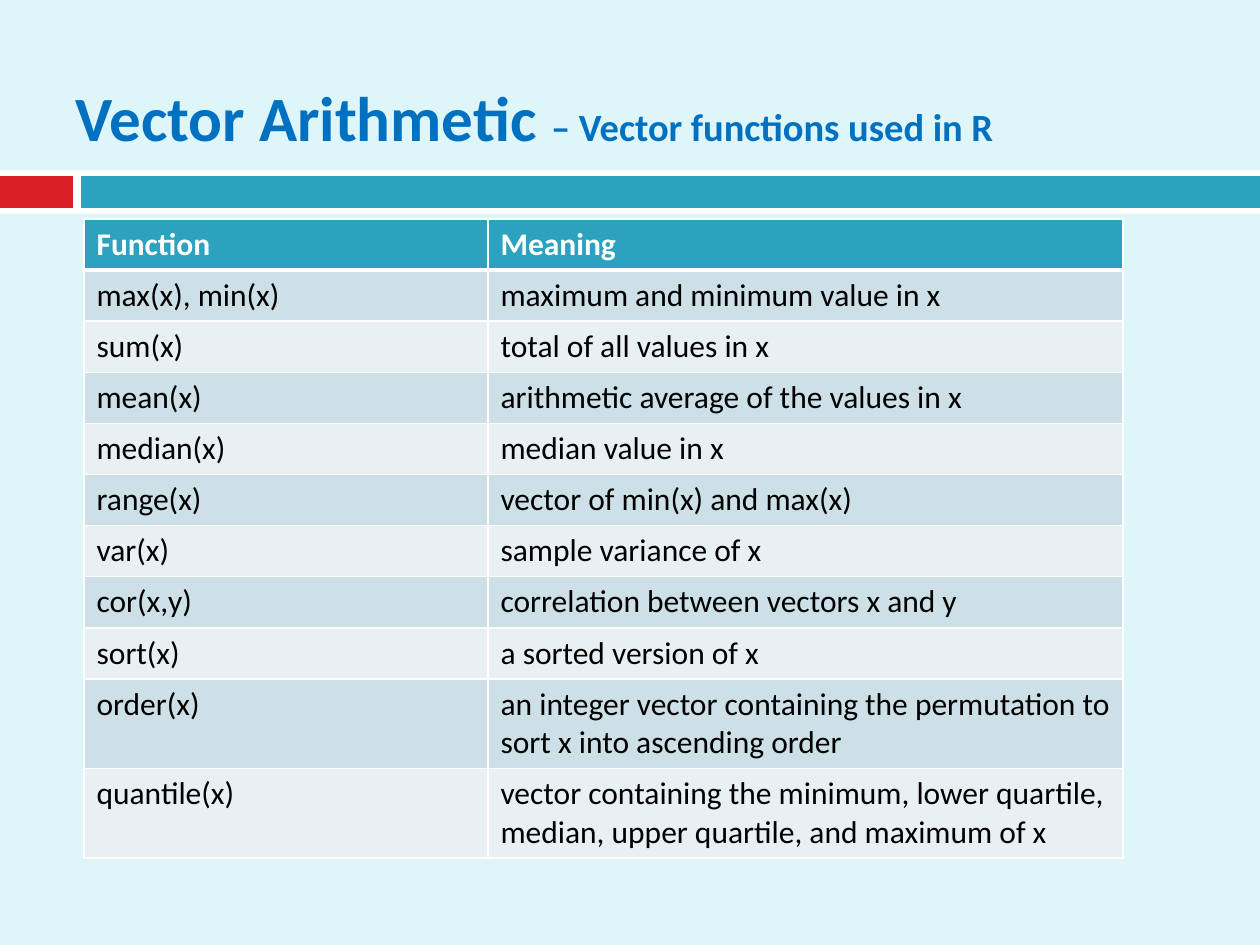
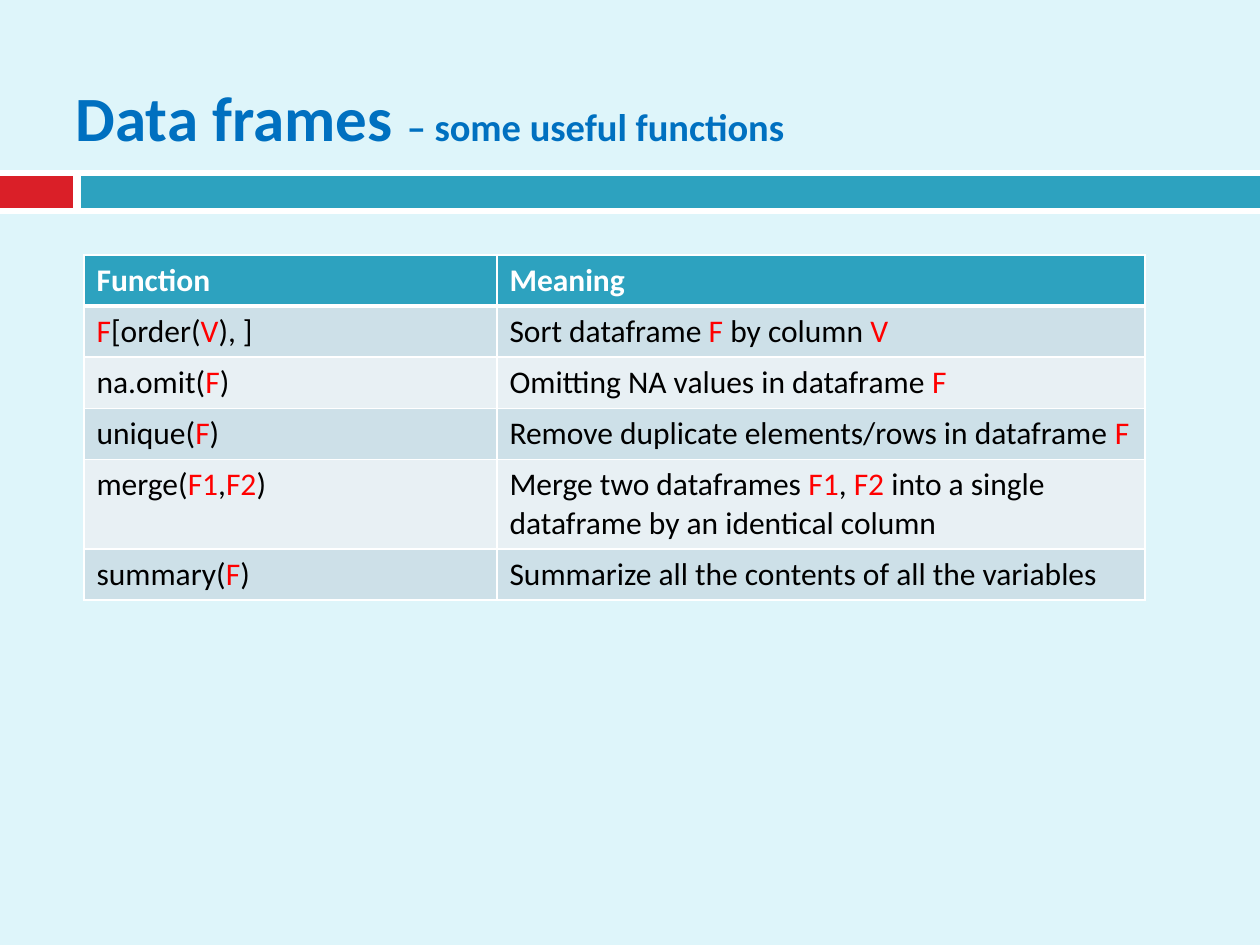
from lxml.etree import SubElement
from pptx import Presentation
from pptx.dml.color import RGBColor
from pptx.enum.shapes import MSO_SHAPE
from pptx.enum.text import MSO_ANCHOR, PP_ALIGN
from pptx.oxml.ns import qn
from pptx.util import Pt

SCALE = 914400 / 126
FONT = "Calibri"
SKY = RGBColor(0xDE, 0xF5, 0xFA)
WHITE = RGBColor(0xFF, 0xFF, 0xFF)
BLACK = RGBColor(0, 0, 0)
RED = RGBColor(0xFF, 0, 0)
CRIMSON = RGBColor(0xDA, 0x1F, 0x28)
TEAL = RGBColor(0x2D, 0xA2, 0xBF)
BLUE = RGBColor(0, 0x70, 0xC0)
STRIPES = RGBColor(0xE8, 0xF0, 0xF4), RGBColor(0xCD, 0xE0, 0xE8)

BANDS = [
    ((0, 170, 1260, 44), WHITE),
    ((0, 176, 73, 32), CRIMSON),
    ((81, 176, 1179, 32), TEAL),
]
TITLE = (63, 38, 1134, 157)
LEFT, ROW, LINE, LIMIT = 84, 51, 38, 55
HEAD = ("Function", "Meaning")

# Text between asterisks is set in red.
SLIDES = [
    {
        "title": ("Vector Arithmetic ", "– Vector functions used in R"),
        "top": 219,
        "cols": (404, 635),
        "rows": [
            ("max(x), min(x)", "maximum and minimum value in x"),
            ("sum(x)", "total of all values in x"),
            ("mean(x)", "arithmetic average of the values in x"),
            ("median(x)", "median value in x"),
            ("range(x)", "vector of min(x) and max(x)"),
            ("var(x)", "sample variance of x"),
            ("cor(x,y)", "correlation between vectors x and y"),
            ("sort(x)", "a sorted version of x"),
            ("order(x)", "an integer vector containing the permutation "
                         "to sort x into ascending order"),
            ("quantile(x)", "vector containing the minimum, lower quartile, "
                            "median, upper quartile, and maximum of x"),
        ],
    },
    {
        "title": ("Data frames ", "– some useful functions"),
        "top": 255,
        "cols": (413, 648),
        "rows": [
            ("*F*[order(*V*), ]", "Sort dataframe *F* by column *V*"),
            ("na.omit(*F*)", "Omitting NA values in dataframe *F*"),
            ("unique(*F*)", "Remove duplicate elements/rows in dataframe *F*"),
            ("merge(*F1*,*F2*)", "Merge two dataframes *F1*, *F2* into a single "
                                 "dataframe by an identical column"),
            ("summary(*F*)", "Summarize all the contents of all the variables"),
        ],
    },
]


def px(n):
    return round(n * SCALE)


def box(rect):
    return [px(n) for n in rect]


def add_run(para, text, size, color, bold):
    run = para.add_run()
    run.text = text
    font = run.font
    font.name, font.size, font.bold = FONT, Pt(size), bold
    font.color.rgb = color


def add_bands(slide, master):
    for n, (rect, color) in enumerate(BANDS):
        band = slide.shapes.add_shape(MSO_SHAPE.RECTANGLE, *box(rect))
        band.shadow.inherit = False
        band.fill.solid()
        band.fill.fore_color.rgb = color
        band.line.fill.background()
        band.element.nvSpPr.cNvPr.id = 20 + n
        master.shapes.element.append(band.element)


def add_title(slide, parts):
    title = slide.shapes.title
    title.left, title.top, title.width, title.height = box(TITLE)
    frame = title.text_frame
    frame.vertical_anchor = MSO_ANCHOR.MIDDLE
    para = frame.paragraphs[0]
    para.alignment = PP_ALIGN.LEFT
    for text, size in zip(parts, (36, 22)):
        add_run(para, text, size, BLUE, True)


def add_rules(cell, row):
    props = cell._tc.get_or_add_tcPr()
    thick = {(0, "lnB"), (1, "lnT")}
    for side in ("lnL", "lnR", "lnT", "lnB"):
        width = Pt(3 if (row, side) in thick else 1)
        rule = SubElement(props, qn("a:" + side), w=str(width))
        fill = SubElement(rule, qn("a:solidFill"))
        SubElement(fill, qn("a:srgbClr"), val=str(WHITE))


def fill_cell(cell, text, row):
    head = row == 0
    add_rules(cell, row)
    cell.fill.solid()
    cell.fill.fore_color.rgb = TEAL if head else STRIPES[row % 2]
    cell.vertical_anchor = MSO_ANCHOR.MIDDLE if head else MSO_ANCHOR.TOP
    para = cell.text_frame.paragraphs[0]
    for n, part in enumerate(text.split("*")):
        if part:
            color = WHITE if head else RED if n % 2 else BLACK
            add_run(para, part, 18, color, head)


def add_grid(slide, top, cols, rows):
    rows = [HEAD] + rows
    tall = [ROW + LINE * (len(row[1]) > LIMIT) for row in rows]
    rect = (LEFT, top, sum(cols), sum(tall))
    grid = slide.shapes.add_table(len(rows), len(cols), *box(rect)).table
    for col, width in zip(grid.columns, cols):
        col.width = px(width)
    for r, row in enumerate(rows):
        grid.rows[r].height = px(tall[r])
        for c, text in enumerate(row):
            fill_cell(grid.cell(r, c), text, r)


def main():
    deck = Presentation()
    deck.slide_width, deck.slide_height = px(1260), px(945)
    master = deck.slide_master
    back = master.background.fill
    back.solid()
    back.fore_color.rgb = SKY
    for n, page in enumerate(SLIDES):
        slide = deck.slides.add_slide(deck.slide_layouts[5])
        if n == 0:
            add_bands(slide, master)
        add_title(slide, page["title"])
        add_grid(slide, page["top"], page["cols"], page["rows"])
    deck.save("out.pptx")


if __name__ == "__main__":
    main()
